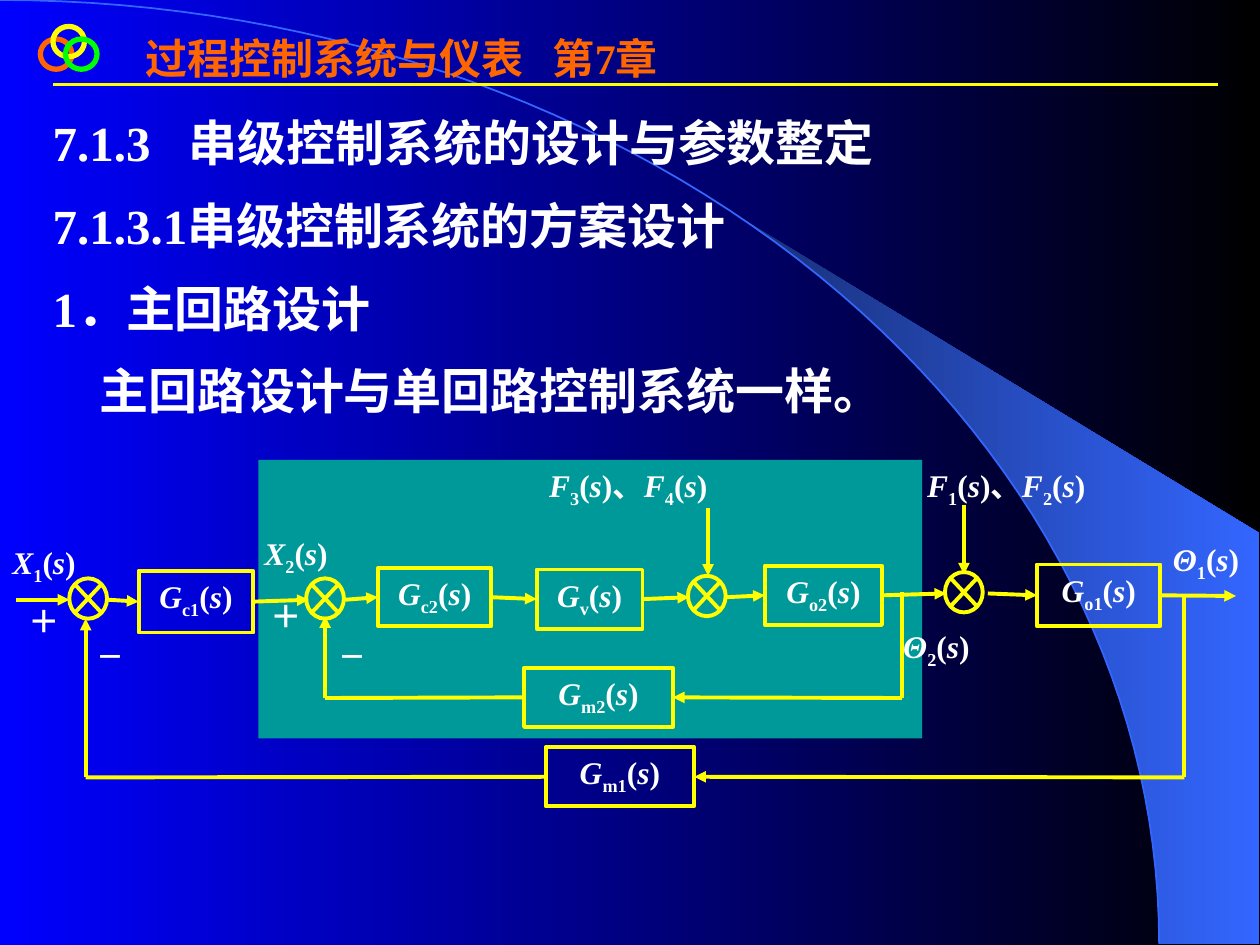
"""Builds a slide on cascade control design with its block diagram."""
import math
from dataclasses import dataclass
from typing import NamedTuple, Optional, Union

from lxml import etree
from pptx import Presentation
from pptx import util as u
from pptx.dml.color import RGBColor
from pptx.enum import shapes, text
from pptx.oxml import ns


@dataclass(frozen=True)
class Theme:
    font: str = "Times New Roman"
    blue: str = "0000FF"
    black: str = "000000"
    white: str = "FFFFFF"
    yellow: str = "FFFF00"
    orange: str = "FF6600"
    green: str = "00FF00"
    teal: str = "009999"
    navy: str = "182F76"
    azure: str = "3366FF"
    title: float = 24
    body: float = 28
    label: float = 18
    sign: float = 16
    wire: float = 2.25


class Frame(NamedTuple):
    left: float
    top: float
    width: float
    height: float


class Point(NamedTuple):
    x: float
    y: float


class Port(NamedTuple):
    box: str
    site: int


class Span(NamedTuple):
    words: str
    italic: bool = False
    sub: bool = False


class Signal(NamedTuple):
    frame: Frame
    terms: tuple
    align: Optional[text.PP_ALIGN] = None


class Wire(NamedTuple):
    start: Union[Point, Port]
    end: Union[Point, Port]
    arrow: bool = True


class Line(NamedTuple):
    words: str
    tab: float = 0
    indent: float = 0


THEME = Theme()
LEFT, RIGHT = 1, 3
BLOCKS = {
    "c1": Frame(1.1, 4.53, 0.91, 0.49), "c2": Frame(3, 4.51, 0.9, 0.46),
    "v": Frame(4.26, 4.52, 0.84, 0.47), "o2": Frame(6.07, 4.49, 0.93, 0.47),
    "o1": Frame(8.23, 4.48, 0.98, 0.49), "m2": Frame(4.16, 5.3, 1.18, 0.47),
    "m1": Frame(4.33, 5.93, 1.18, 0.47),
}
JUNCTIONS = [Point(0.55, 4.59), Point(2.43, 4.59), Point(5.46, 4.57), Point(7.5, 4.54)]
SIGNALS = [
    Signal(Frame(0, 4.26, 0.74, 0.56), ("X1",)), Signal(Frame(2, 4.19, 0.77, 0.4), ("X2",)),
    Signal(Frame(9.21, 4.24, 0.79, 0.56), ("Θ1",)), Signal(Frame(7.07, 4.93, 0.88, 0.46), ("Θ2",)),
    Signal(Frame(4.26, 3.65, 1.77, 0.42), ("F3", "F4")),
    Signal(Frame(7.26, 3.65, 1.72, 0.42), ("F1", "F2")),
]
INNER, OUTER = 5.54, 6.17
WIRES = [
    Wire(Point(0.13, 4.76), Point(0.55, 4.76)), Wire(Point(0.86, 4.76), Port("c1", LEFT)),
    Wire(Port("c1", RIGHT), Point(2.45, 4.76)), Wire(Point(2.74, 4.76), Port("c2", LEFT)),
    Wire(Port("c2", RIGHT), Port("v", LEFT)), Wire(Port("v", RIGHT), Point(5.47, 4.74)),
    Wire(Point(5.76, 4.74), Port("o2", LEFT)), Wire(Port("o2", RIGHT), Point(7.51, 4.71)),
    Wire(Point(7.84, 4.71), Port("o1", LEFT)), Wire(Port("o1", RIGHT), Point(9.81, 4.73)),
    Wire(Point(5.62, 4.03), Point(5.62, 4.57)), Wire(Point(7.65, 4.01), Point(7.65, 4.56)),
    Wire(Point(7.16, 4.7), Point(7.16, INNER), False), Wire(Point(7.16, INNER), Port("m2", RIGHT)),
    Wire(Port("m2", LEFT), Point(2.58, INNER), False), Wire(Point(2.58, INNER), Point(2.58, 4.89)),
    Wire(Point(9.4, 4.73), Point(9.4, OUTER), False), Wire(Point(9.4, OUTER), Port("m1", RIGHT)),
    Wire(Port("m1", LEFT), Point(0.68, OUTER), False), Wire(Point(0.68, OUTER), Point(0.68, 4.91)),
]
HEADINGS = [
    Line("7.1.3\t串级控制系统的设计与参数整定", tab=1.08), Line("7.1.3.1串级控制系统的方案设计"),
    Line("1．主回路设计"), Line("主回路设计与单回路控制系统一样。", indent=0.37),
]


def rgb(value: str) -> RGBColor:
    return RGBColor.from_string(value)


def inches(values) -> list:
    return [u.Inches(value) for value in values]


def fade(fill, first: str, last: str) -> None:
    fill.gradient()
    fill.gradient_angle = 0
    for stop, color, position in zip(fill.gradient_stops, (first, last), (0, 1)):
        stop.color.rgb, stop.position = rgb(color), position


def outline(item, color: str, width: float) -> None:
    item.line.color.rgb = rgb(color)
    item.line.width = u.Pt(width)


def draw_shape(page, kind, frame: Frame, color: str, width: float = THEME.wire):
    shape = page.shapes.add_shape(kind, *inches(frame))
    shape.shadow.inherit = False
    shape.fill.background()
    outline(shape, color, width)
    return shape


def draw_curve(page, points: list, closed: bool):
    builder = page.shapes.build_freeform(*inches(points[0]), scale=1.0)
    builder.add_line_segments([tuple(inches(point)) for point in points[1:]], close=closed)
    shape = builder.convert_to_shape()
    shape.shadow.inherit = False
    return shape


def arc(start: float) -> list:
    """Returns points of the quarter ellipse from a start angle in degrees to 90."""
    angles = [math.radians(start + (90 - start) * step / 60) for step in range(61)]
    return [Point(9.2 * math.sin(angle), 7.49 * (1 - math.cos(angle))) for angle in angles]


def draw_wire(page, start, end, boxes: dict, arrow: bool, width: float = THEME.wire) -> None:
    places = [Point(0, 0) if isinstance(spot, Port) else spot for spot in (start, end)]
    wire = page.shapes.add_connector(shapes.MSO_CONNECTOR.STRAIGHT, *inches(places[0] + places[1]))
    for spot, join in ((start, wire.begin_connect), (end, wire.end_connect)):
        if isinstance(spot, Port):
            join(boxes[spot.box], spot.site)
    outline(wire, THEME.yellow, width)
    properties = wire.element.spPr
    if arrow:
        etree.SubElement(properties.find(ns.qn("a:ln")), ns.qn("a:tailEnd"), type="triangle")
    etree.SubElement(properties, ns.qn("a:effectLst"))


def style(run, size: float, color: str = THEME.white) -> None:
    run.font.name, run.font.size, run.font.bold = THEME.font, u.Pt(size), True
    run.font.color.rgb = rgb(color)


def fill_terms(frame, terms: tuple, align) -> None:
    """Writes terms such as Gc1 as G(s) with an italic letter and a subscript."""
    frame.vertical_anchor = text.MSO_ANCHOR.TOP
    para = frame.paragraphs[0]
    para.alignment = align
    for index, term in enumerate(terms):
        closing = ")、" if index < len(terms) - 1 else ")"
        for span in (Span(term[0], italic=True), Span(term[1:], sub=True), Span("("),
                     Span("s", italic=True), Span(closing)):
            run = para.add_run()
            run.text = span.words
            style(run, THEME.label)
            run.font.italic = span.italic
            if span.sub:
                run.font._element.set("baseline", "-25000")


def add_box(page, frame: Frame, wrap: bool = True):
    box = page.shapes.add_textbox(*inches(frame))
    box.text_frame.word_wrap = wrap
    return box.text_frame


def write_lines(page, frame: Frame, lines: list, size: float, color: str = THEME.white,
                spacing: float = 1, gap: float = 0, wrap: bool = True) -> None:
    body = add_box(page, frame, wrap)
    body.text = "\n".join(line.words for line in lines)
    for index, (para, line) in enumerate(zip(body.paragraphs, lines)):
        properties = para._p.get_or_add_pPr()
        if line.indent:
            properties.set("marL", str(u.Inches(line.indent)))
            properties.set("indent", "0")
        if line.tab:
            stops = etree.SubElement(properties, ns.qn("a:tabLst"))
            etree.SubElement(stops, ns.qn("a:tab"), pos=str(u.Inches(line.tab)), algn="l")
        para.line_spacing = spacing
        para.space_before = u.Pt(gap if index else 0)
        for run in para.runs:
            style(run, size, color)


def draw_backdrop(page) -> None:
    fade(page.background.fill, THEME.blue, THEME.black)
    wedge = draw_curve(page, arc(39.8) + [Point(9.99, 7.49), Point(9.99, 4.23)], True)
    fade(wedge.fill, THEME.navy, THEME.azure)
    wedge.line.fill.background()
    rim = draw_curve(page, arc(0), False)
    rim.fill.background()
    outline(rim, THEME.azure, 1)
    draw_wire(page, Point(0.42, 0.67), Point(9.67, 0.67), {}, False, 1.5)
    for left, top, color in ((0.32, 0.31, THEME.orange), (0.42, 0.21, THEME.yellow),
                             (0.52, 0.31, THEME.green)):
        draw_shape(page, shapes.MSO_SHAPE.OVAL, Frame(left, top, 0.25, 0.24), color, 3)


def draw_diagram(page) -> None:
    panel = draw_shape(page, shapes.MSO_SHAPE.RECTANGLE, Frame(2.05, 3.65, 5.27, 2.21), THEME.teal)
    panel.fill.solid()
    panel.fill.fore_color.rgb = rgb(THEME.teal)
    panel.line.fill.background()
    boxes = {}
    for name, frame in BLOCKS.items():
        boxes[name] = draw_shape(page, shapes.MSO_SHAPE.RECTANGLE, frame, THEME.yellow)
        fill_terms(boxes[name].text_frame, ("G" + name,), text.PP_ALIGN.CENTER)
    for spot in JUNCTIONS:
        draw_shape(page, shapes.MSO_SHAPE.FLOWCHART_SUMMING_JUNCTION,
                   Frame(*spot, 0.3, 0.32), THEME.yellow)
    for wire in WIRES:
        draw_wire(page, wire.start, wire.end, boxes, wire.arrow)
    for signal in SIGNALS:
        fill_terms(add_box(page, signal.frame), signal.terms, signal.align)
    for left, top in ((0.13, 4.73), (2.05, 4.69)):
        write_lines(page, Frame(left, top, 0.5, 0.5), [Line("＋")], THEME.label)
    for left in (0.67, 2.59):
        write_lines(page, Frame(left, 5.03, 0.42, 0.37), [Line("－")], THEME.sign, wrap=False)


def main() -> None:
    deck = Presentation()
    deck.slide_width, deck.slide_height = inches((10, 7.5))
    page = deck.slides.add_slide(deck.slide_layouts[6])
    draw_backdrop(page)
    write_lines(page, Frame(1.06, 0.21, 4.49, 0.9),
                [Line("过程控制系统与仪表\t第7章", tab=3.23)], THEME.title, THEME.orange)
    write_lines(page, Frame(0.32, 0.75, 9.3, 3.29), HEADINGS, THEME.body, spacing=1.2, gap=7)
    draw_diagram(page)
    deck.save("out.pptx")


if __name__ == "__main__":
    main()
